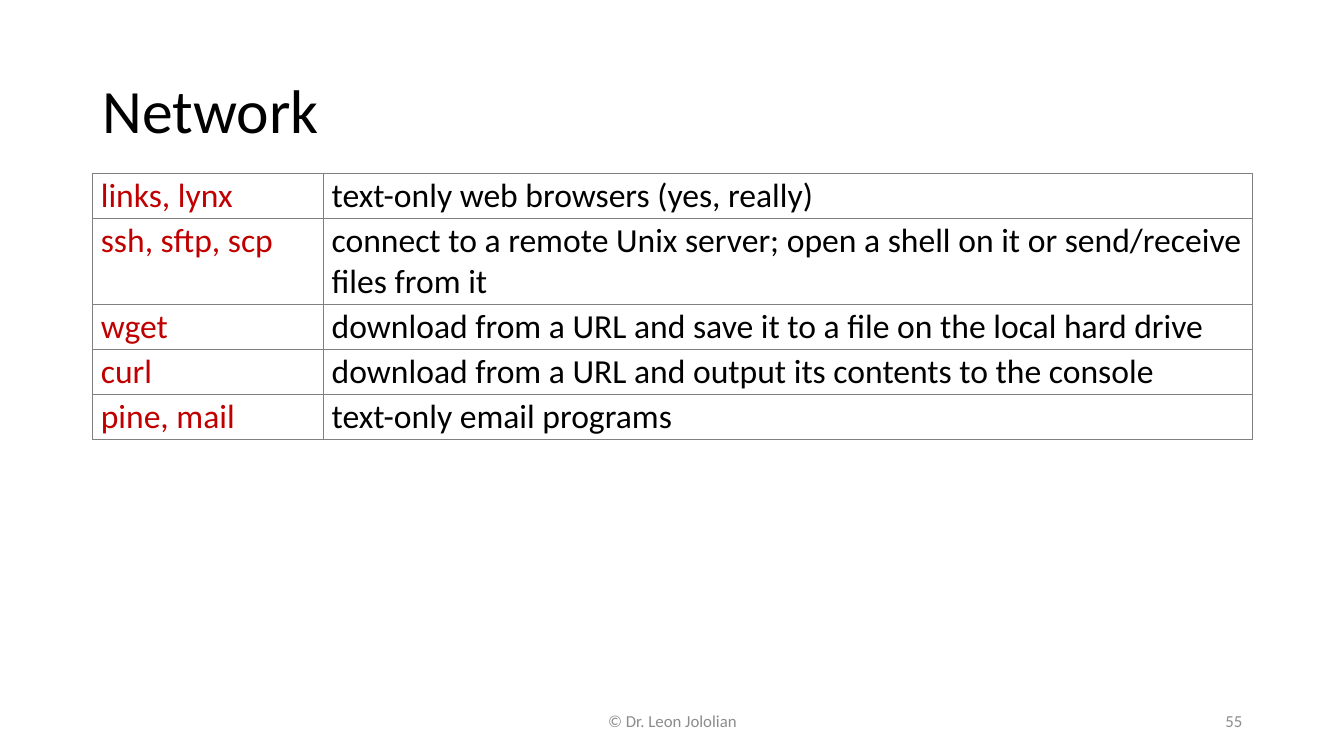
from typing import NamedTuple

from lxml import etree
from pptx import Presentation
from pptx.dml.color import RGBColor
from pptx.enum.text import MSO_ANCHOR, PP_ALIGN
from pptx.oxml.ns import qn
from pptx.util import Inches, Pt

LEFT, CENTER, RIGHT = PP_ALIGN.LEFT, PP_ALIGN.CENTER, PP_ALIGN.RIGHT
MIDDLE = MSO_ANCHOR.MIDDLE
FONT = "Calibri"
COLORS = {"text": "000000", "command": "C00000", "footer": "8C8C8C", "border": "808080"}
BORDER_WIDTH = Pt(0.6)
COLUMN_WIDTHS = (2.29, 9.21)
LINE_ROW, WRAPPED_ROW = 0.44, 0.85


class Label(NamedTuple):
    text: str
    left: float
    top: float
    width: float
    height: float
    size: int
    color: str
    align: PP_ALIGN
    line_spacing: float = 1.0


class Command(NamedTuple):
    names: str
    purpose: str
    height: float = LINE_ROW


LABELS = (
    Label("Network", 0.92, 0.4, 11.5, 1.45, 44, "text", LEFT, 0.9),
    Label("© Dr. Leon Jololian", 4.42, 6.95, 4.5, 0.4, 12, "footer", CENTER),
    Label("55", 9.42, 6.95, 3, 0.4, 12, "footer", RIGHT),
)
COMMANDS = (
    Command("links, lynx", "text-only web browsers (yes, really)"),
    Command("ssh, sftp, scp",
            "connect to a remote Unix server; open a shell on it or send/receive files from it",
            WRAPPED_ROW),
    Command("wget", "download from a URL and save it to a file on the local hard drive"),
    Command("curl", "download from a URL and output its contents to the console"),
    Command("pine, mail", "text-only email programs"),
)


def style_paragraph(para, size: int, color: str) -> None:
    para.font.name = FONT
    para.font.size = Pt(size)
    para.font.color.rgb = RGBColor.from_string(COLORS[color])


def add_label(page, label: Label) -> None:
    box = page.shapes.add_textbox(Inches(label.left), Inches(label.top),
                                  Inches(label.width), Inches(label.height))
    frame = box.text_frame
    frame.word_wrap = True
    frame.vertical_anchor = MIDDLE
    para = frame.paragraphs[0]
    para.text = label.text
    para.alignment = label.align
    para.line_spacing = label.line_spacing
    style_paragraph(para, label.size, label.color)


def add_borders(cell) -> None:
    properties = cell._tc.get_or_add_tcPr()
    for side in ("a:lnL", "a:lnR", "a:lnT", "a:lnB"):
        line = etree.SubElement(properties, qn(side), w=str(int(BORDER_WIDTH)))
        fill = etree.SubElement(line, qn("a:solidFill"))
        etree.SubElement(fill, qn("a:srgbClr"), val=COLORS["border"])


def fill_cell(cell, text: str, color: str) -> None:
    add_borders(cell)
    cell.fill.background()
    cell.margin_left = cell.margin_right = Inches(0.08)
    cell.margin_top = cell.margin_bottom = Inches(0.02)
    cell.text = text
    style_paragraph(cell.text_frame.paragraphs[0], 24, color)


def add_command_table(page) -> None:
    height = sum(command.height for command in COMMANDS)
    table = page.shapes.add_table(len(COMMANDS), len(COLUMN_WIDTHS), Inches(0.92), Inches(1.72),
                                  Inches(sum(COLUMN_WIDTHS)), Inches(height)).table
    table.first_row = table.horz_banding = False
    for column, width in zip(table.columns, COLUMN_WIDTHS):
        column.width = Inches(width)
    for row, command in zip(table.rows, COMMANDS):
        row.height = Inches(command.height)
        fill_cell(row.cells[0], command.names, "command")
        fill_cell(row.cells[1], command.purpose, "text")


def main() -> None:
    deck = Presentation()
    deck.slide_width, deck.slide_height = Inches(13.33), Inches(7.5)
    page = deck.slides.add_slide(deck.slide_layouts[6])
    add_command_table(page)
    for label in LABELS:
        add_label(page, label)
    deck.save("out.pptx")


if __name__ == "__main__":
    main()
